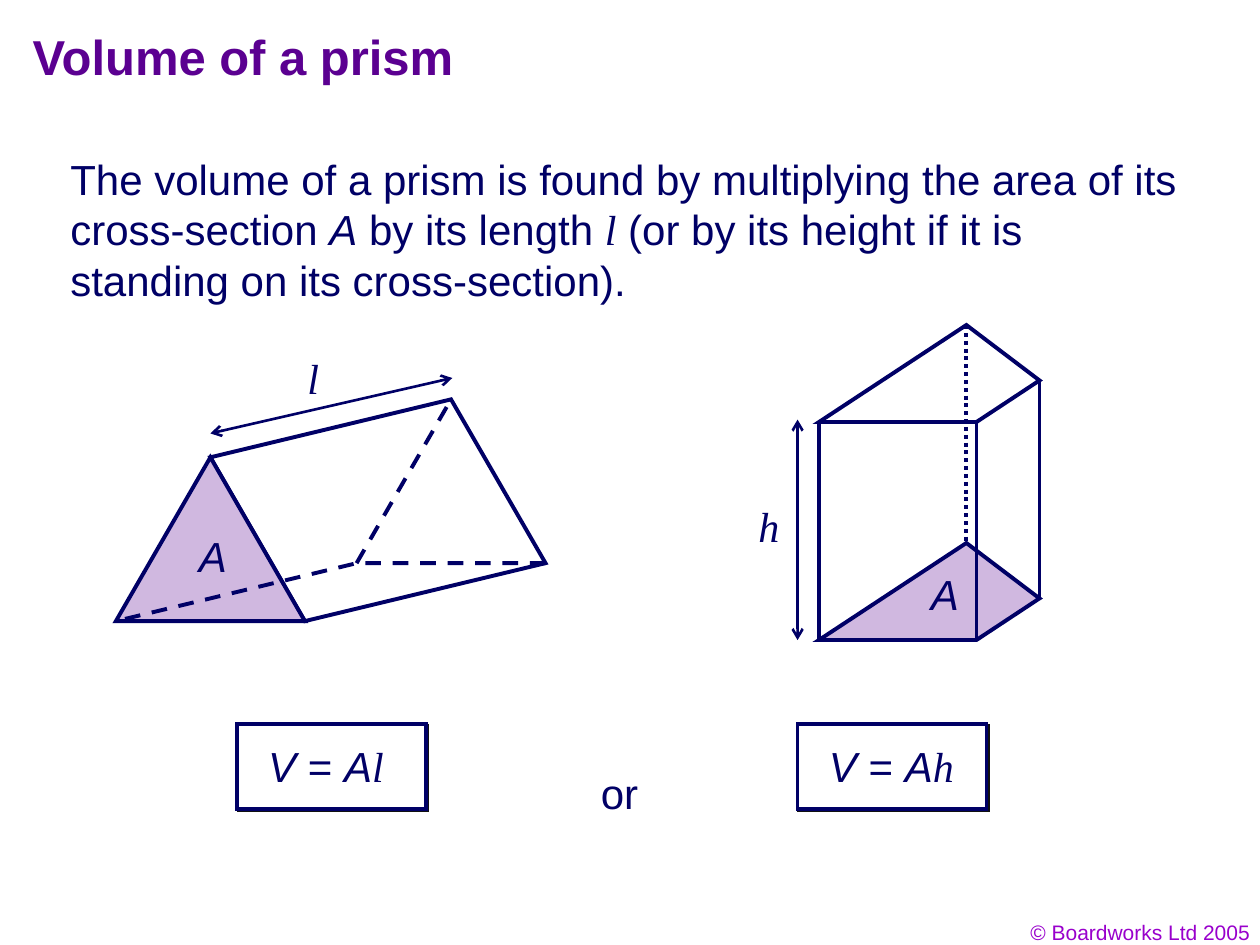
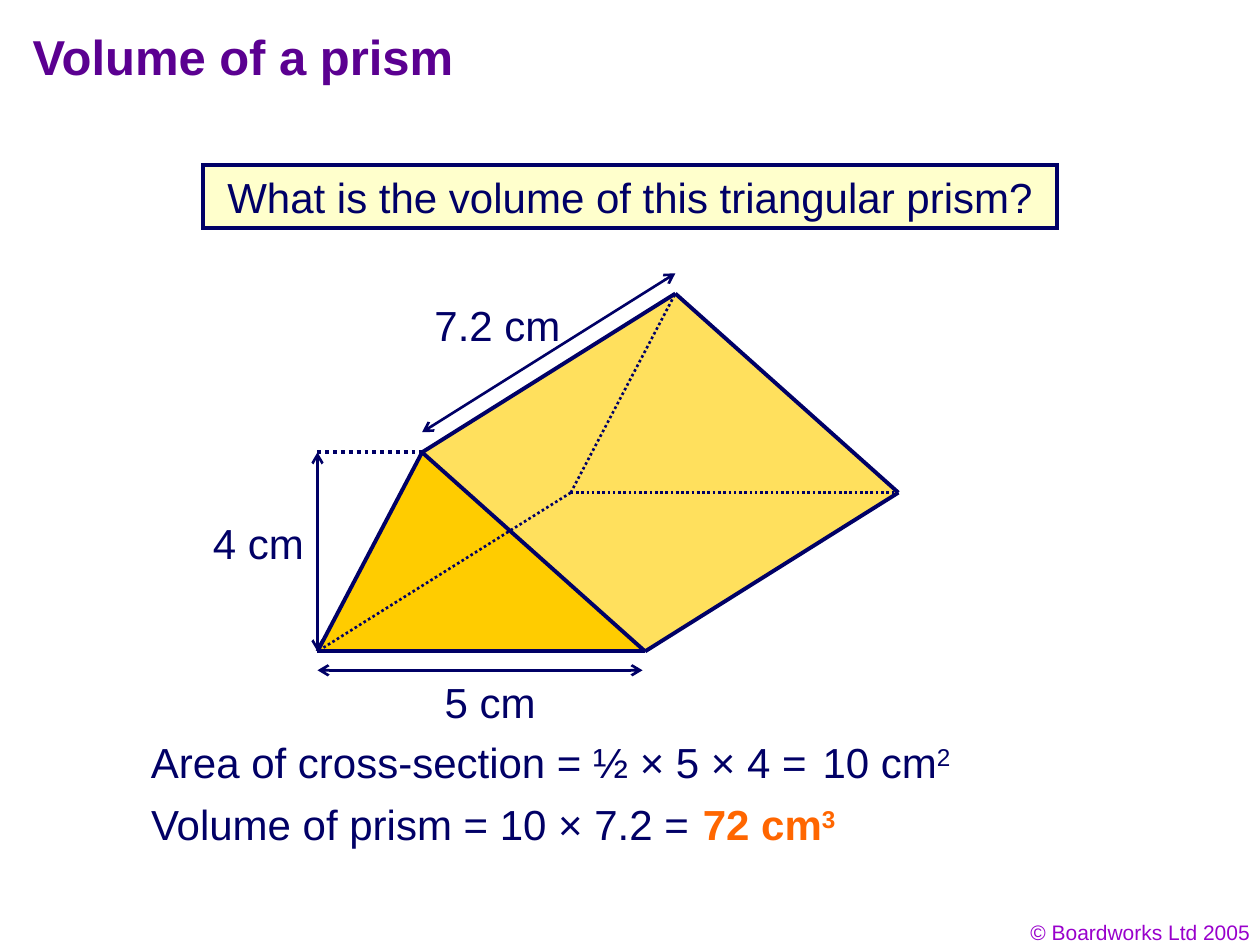
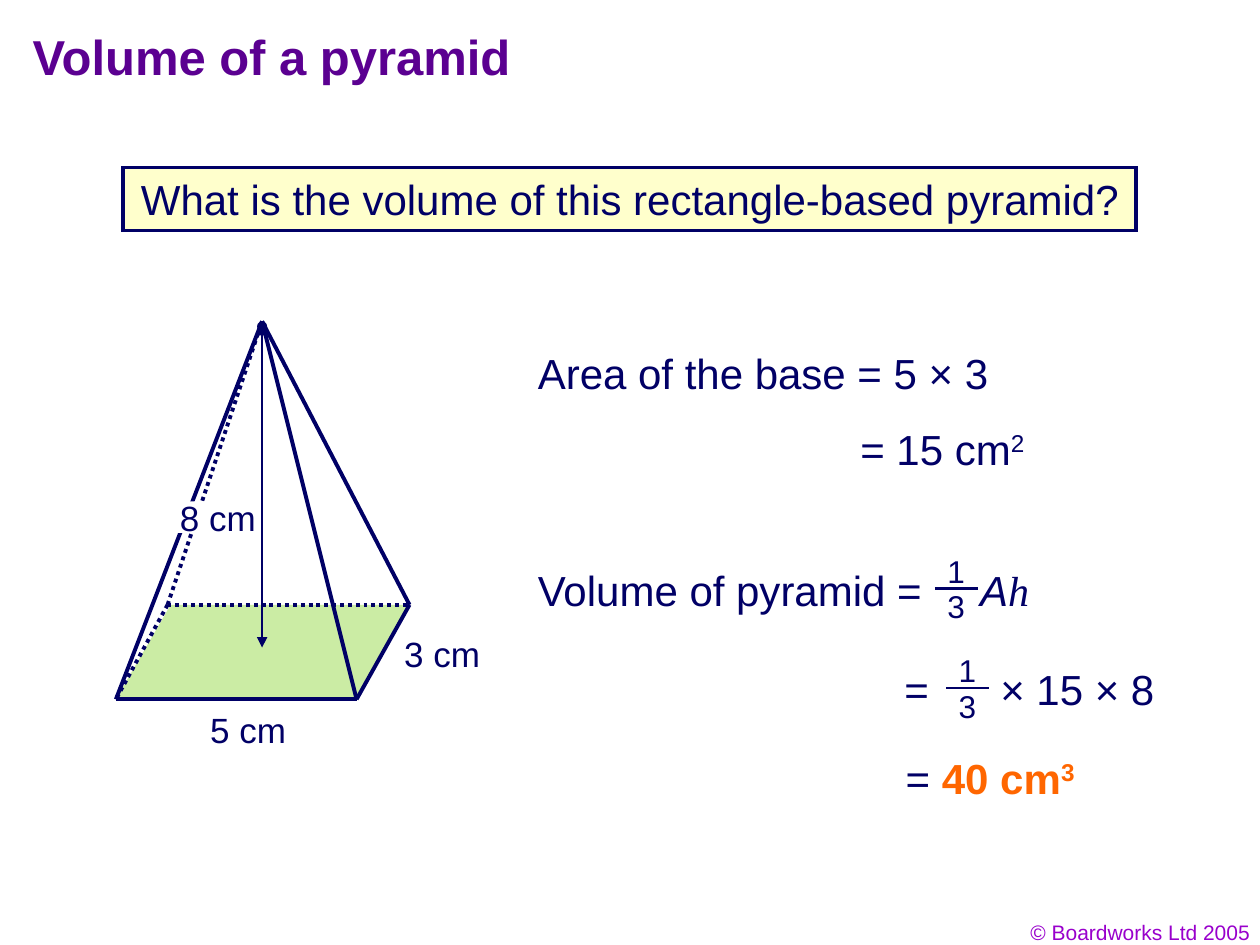
from dataclasses import dataclass
from typing import Any

from lxml.etree import SubElement
from pptx import Presentation
from pptx.dml.color import RGBColor
from pptx.enum.dml import MSO_LINE
from pptx.enum.shapes import MSO_CONNECTOR, MSO_SHAPE
from pptx.enum.text import MSO_ANCHOR, MSO_AUTO_SIZE, PP_ALIGN
from pptx.oxml.ns import qn
from pptx.util import Pt

PX = 9144  # 100 px to the inch
ROOM = 6  # px that keep a one-line label from breaking
TITLE_ONLY = 5
STRAIGHT = MSO_CONNECTOR.STRAIGHT
DASH, DOT = MSO_LINE.DASH, MSO_LINE.ROUND_DOT
RECTANGLE, TRIANGLE = MSO_SHAPE.RECTANGLE, MSO_SHAPE.ISOSCELES_TRIANGLE
PARALLELOGRAM, OVAL = MSO_SHAPE.PARALLELOGRAM, MSO_SHAPE.OVAL
LEFT, CENTER, RIGHT = PP_ALIGN.LEFT, PP_ALIGN.CENTER, PP_ALIGN.RIGHT
TOP, MIDDLE = MSO_ANCHOR.TOP, MSO_ANCHOR.MIDDLE
FIT_SHAPE, NO_FIT = MSO_AUTO_SIZE.SHAPE_TO_FIT_TEXT, MSO_AUTO_SIZE.NONE


@dataclass(frozen=True)
class Theme:
    font: str = "Arial"
    math_font: str = "Times New Roman"
    title: str = "5B0091"
    footer: str = "9900CC"
    ink: str = "000066"
    label: str = "010066"
    answer: str = "FF6600"
    white: str = "FFFFFF"
    shadow: str = "111111"
    question: str = "FFFFCC"
    lilac: str = "D0B8E0"
    gold: str = "FFCC00"
    pale_gold: str = "FFE05D"
    green: str = "CBECA4"
    title_size: int = 28
    text_size: int = 24
    label_size: int = 20
    fraction_size: int = 18
    footer_size: int = 12
    edge: float = 2.25
    thin: float = 1.5


THEME = Theme()


@dataclass(frozen=True)
class Span:
    text: str
    italic: bool = False
    bold: bool = False
    raised: bool = False
    font: str = THEME.font
    color: str = THEME.label


AREA = Span("A", italic=True)
LENGTH = Span("l", italic=True, font=THEME.math_font)
HEIGHT = Span("h", italic=True, font=THEME.math_font)


def answer(value, power):
    return [Span(value, bold=True, color=THEME.answer),
            Span(power, bold=True, raised=True, color=THEME.answer)]


def shifted(point, step):
    return point[0] + step[0], point[1] + step[1]


def write(frame, spans, size=THEME.text_size, align=LEFT):
    para = frame.paragraphs[0]
    para.alignment = align
    for span in spans:
        run = para.add_run()
        run.text = span.text
        font = run.font
        font.name, font.size = span.font, Pt(size)
        font.bold, font.italic = span.bold, span.italic
        font.color.rgb = RGBColor.from_string(span.color)
        if span.raised:
            run._r.get_or_add_rPr().set("baseline", "30000")


def set_line(line, width, dash=None):
    """Set colour, width, dash and sharp corners."""
    line.color.rgb = RGBColor.from_string(THEME.ink)
    line.width = Pt(width)
    if dash:
        line.dash_style = dash
    SubElement(line._get_or_add_ln(), qn("a:miter"), lim="800000")


def paint(shape, fill=None, width=None, dash=None):
    """Give a shape its fill and outline; leave out whichever is None."""
    shape.shadow.inherit = False
    if fill:
        shape.fill.solid()
        shape.fill.fore_color.rgb = RGBColor.from_string(fill)
    else:
        shape.fill.background()
    if width:
        set_line(shape.line, width, dash)
    else:
        shape.line.fill.background()
    return shape


@dataclass(frozen=True)
class Region:
    """A part of a page; all positions given to it count from its corner."""
    page: Any
    left: int = 0
    top: int = 0

    def place(self, x, y):
        return (self.left + x) * PX, (self.top + y) * PX

    def text(self, x, y, width, spans, size=THEME.text_size, wrap=False, align=LEFT):
        height = round(10 + size * 5 / 3)
        if not wrap:
            width += ROOM
        box = self.page.shapes.add_textbox(*self.place(x, y), width * PX, height * PX)
        box.text_frame.word_wrap = wrap
        box.text_frame.auto_size = FIT_SHAPE
        write(box.text_frame, spans, size, align)

    def shape(self, kind, x, y, width, height, fill=None, edge=None):
        shape = self.page.shapes.add_shape(kind, *self.place(x, y), width * PX, height * PX)
        return paint(shape, fill, edge)

    def outline(self, points, fill=None, edge=None, dash=None, close=True):
        builder = self.page.shapes.build_freeform(*points[0], scale=PX)
        builder.add_line_segments(points[1:], close=close)
        paint(builder.convert_to_shape(*self.place(0, 0)), fill, edge, dash)

    def line(self, start, end, width=THEME.edge, dash=None, arrows=None):
        line = self.page.shapes.add_connector(STRAIGHT, *self.place(*start), *self.place(*end))
        set_line(line.line, width, dash)
        if arrows:
            for tag in ("a:headEnd", "a:tailEnd"):
                SubElement(line.line._get_or_add_ln(), qn(tag)).set("type", arrows)
        SubElement(line._element.spPr, qn("a:effectLst"))

    def measure(self, start, end):
        self.line(start, end, THEME.thin, arrows="arrow")


def add_page(deck, title):
    """Add a page with the shared title and footer."""
    page = deck.slides.add_slide(deck.slide_layouts[TITLE_ONLY])
    heading = page.shapes.title
    heading.left, heading.top, heading.width, heading.height = (
        length * PX for length in (16, 16, 806, 69))
    heading.text_frame.vertical_anchor = TOP
    heading.text_frame.auto_size = NO_FIT
    write(heading.text_frame, [Span(title, bold=True, color=THEME.title)], THEME.title_size)
    Region(page).text(769, 725, 233, [Span("© Boardworks Ltd 2005", color=THEME.footer)],
                      THEME.footer_size, wrap=True, align=RIGHT)
    return page


def add_question(region, width, question):
    box = region.shape(RECTANGLE, 0, 0, width, 50, THEME.question, THEME.edge)
    box.text_frame.word_wrap = True
    box.text_frame.vertical_anchor = MIDDLE
    write(box.text_frame, [Span(question, color=THEME.ink)], align=CENTER)


def add_formula(region, width, factor):
    frame = region.shape(RECTANGLE, 0, 0, 150, 67, THEME.white, THEME.edge)
    effects = frame._element.spPr.find(qn("a:effectLst"))
    shadow = SubElement(effects, qn("a:outerShdw"), dist="17780", dir="2700000")
    SubElement(shadow, qn("a:srgbClr"), val=THEME.shadow)
    region.text(15, 8, width, [Span("V", italic=True), Span(" = "), AREA, factor])


def add_lying_prism(region):
    apex, near_left, near_right = (75, 88), (0, 218), (150, 218)
    far_apex, far_left, far_right = (
        shifted(corner, (191, -46)) for corner in (apex, near_left, near_right))
    region.outline([apex, far_apex, far_right, near_right], edge=THEME.edge)
    region.shape(TRIANGLE, 0, 88, 150, 130, THEME.lilac, THEME.edge)
    for hidden in ([far_right, far_left, near_left], [far_left, far_apex]):
        region.outline(hidden, edge=THEME.edge, dash=DASH, close=False)
    region.text(56, 141, 42, [AREA])
    region.measure((75, 69), (267, 25))
    region.text(142, 0, 29, [LENGTH])


def add_standing_prism(region):
    height = (0, 173)
    lid = [(0, 77), (125, 77), (175, 44), (117, 0)]
    base = [shifted(corner, height) for corner in lid]
    region.outline(base, THEME.lilac, THEME.edge)
    region.outline(lid, edge=THEME.edge)
    for upper, lower, dash in zip(lid, base, (None, None, None, DOT)):
        region.line(upper, lower, dash=dash)
    region.text(79, 188, 42, [AREA])
    region.measure((-17, 75), (-17, 250))
    region.text(-58, 134, 36, [HEIGHT])


def add_gold_prism(region):
    front = apex, near_left, near_right = (83, 126), (0, 284), (260, 284)
    back = [shifted(corner, (201, -126)) for corner in front]
    far_apex, far_left, far_right = back
    region.outline([apex, far_apex, far_right, near_right], THEME.pale_gold)
    region.outline(front, THEME.gold)
    visible = [(near_left, near_right), (near_left, apex), (apex, near_right),
               (far_apex, far_right), (apex, far_apex), (near_right, far_right)]
    for start, end in visible:
        region.line(start, end)
    for corner in (far_right, far_apex, near_left):
        region.line(far_left, corner, THEME.thin, DOT)
    region.line((0, 126), apex, dash=DOT)
    region.measure(near_left, (0, 126))
    region.measure(shifted(apex, (0, -16)), shifted(far_apex, (0, -16)))
    region.measure((0, 299), (258, 299))
    region.text(91, 299, 92, [Span("5 cm")])
    region.text(-93, 173, 92, [Span("4 cm")])
    region.text(83, 0, 120, [Span("7.2 cm")])


def add_prism_working(region):
    region.text(0, 0, 540, [Span("Area of cross-section = ½ × 5 × 4 =")])
    region.text(533, 0, 121, [Span("10 cm"), Span("2", raised=True)])
    region.text(0, 49, 449, [Span("Volume of prism = 10 × 7.2 =")])
    region.text(438, 49, 125, answer("72 cm", "3"))


def add_pyramid(region):
    apex, near_left, near_right = (116, 0), (0, 300), (191, 300)
    far_left, far_right = (41, 225), (233, 225)
    base = region.shape(PARALLELOGRAM, 0, 225, 233, 75, THEME.green)
    base.adjustments[0] = 0.58
    region.shape(OVAL, 112, 0, 8, 8, THEME.ink)
    for corner in (near_left, far_right):
        region.line(corner, near_right)
    for corner in (near_left, near_right, far_right):
        region.line(corner, apex)
    for corner in (near_left, far_right, apex):
        region.line(far_left, corner, dash=DOT)
    region.line((116, 3), (116, 259), THEME.thin, arrows="triangle")
    region.shape(RECTANGLE, 48, 143, 67, 25, THEME.white)
    for x, y, length in ((41, 134, "8 cm"), (65, 302, "5 cm"), (219, 242, "3 cm")):
        region.text(x, y, 80, [Span(length)], THEME.label_size)


def add_third(region):
    """Add the fraction one third."""
    for y, digit in ((0, "1"), (28, "3")):
        region.text(0, y, 34, [Span(digit)], THEME.fraction_size)
    region.line((0, 34), (34, 34), THEME.thin)


def add_pyramid_working(region):
    region.text(0, 0, 377, [Span("Area of the base = 5 × 3")])
    region.text(256, 60, 150, [Span("= 15 cm"), Span("2", raised=True)])
    region.text(0, 172, 324, [Span("Volume of pyramid =")])
    region.text(351, 172, 59, [AREA, HEIGHT])
    region.text(291, 251, 39, [Span("=")])
    region.text(367, 251, 142, [Span("× 15 × 8")])
    for x, y in ((325, 162), (334, 241)):
        add_third(Region(region.page, region.left + x, region.top + y))
    region.text(292, 321, 154, [Span("= "), *answer("40 cm", "3")])


def build_rule_page(deck):
    page = add_page(deck, "Volume of a prism")
    plain = {"color": THEME.ink}
    Region(page).text(46, 117, 904, [
        Span("The volume of a prism is found by multiplying the area of its cross-section ", **plain),
        Span("A", italic=True, **plain),
        Span(" by its length ", **plain),
        Span("l", italic=True, font=THEME.math_font, **plain),
        Span(" (or by its height if it is standing on its cross-section).", **plain),
    ], wrap=True)
    add_formula(Region(page, 188, 575), 111, LENGTH)
    add_lying_prism(Region(page, 92, 275))
    add_formula(Region(page, 633, 575), 119, HEIGHT)
    add_standing_prism(Region(page, 650, 258))
    Region(page).text(467, 604, 49, [Span("or")])


def build_prism_page(deck):
    page = add_page(deck, "Volume of a prism")
    add_question(Region(page, 161, 131), 678, "What is the volume of this triangular prism?")
    add_gold_prism(Region(page, 252, 233))
    add_prism_working(Region(page, 110, 580))


def build_pyramid_page(deck):
    page = add_page(deck, "Volume of a pyramid")
    add_question(Region(page, 98, 133), 804,
                 "What is the volume of this rectangle-based pyramid?")
    add_pyramid(Region(page, 92, 255))
    add_pyramid_working(Region(page, 417, 271))


def main():
    deck = Presentation()
    deck.slide_width, deck.slide_height = 1000 * PX, 750 * PX
    build_rule_page(deck)
    build_prism_page(deck)
    build_pyramid_page(deck)
    deck.save("out.pptx")


if __name__ == "__main__":
    main()
